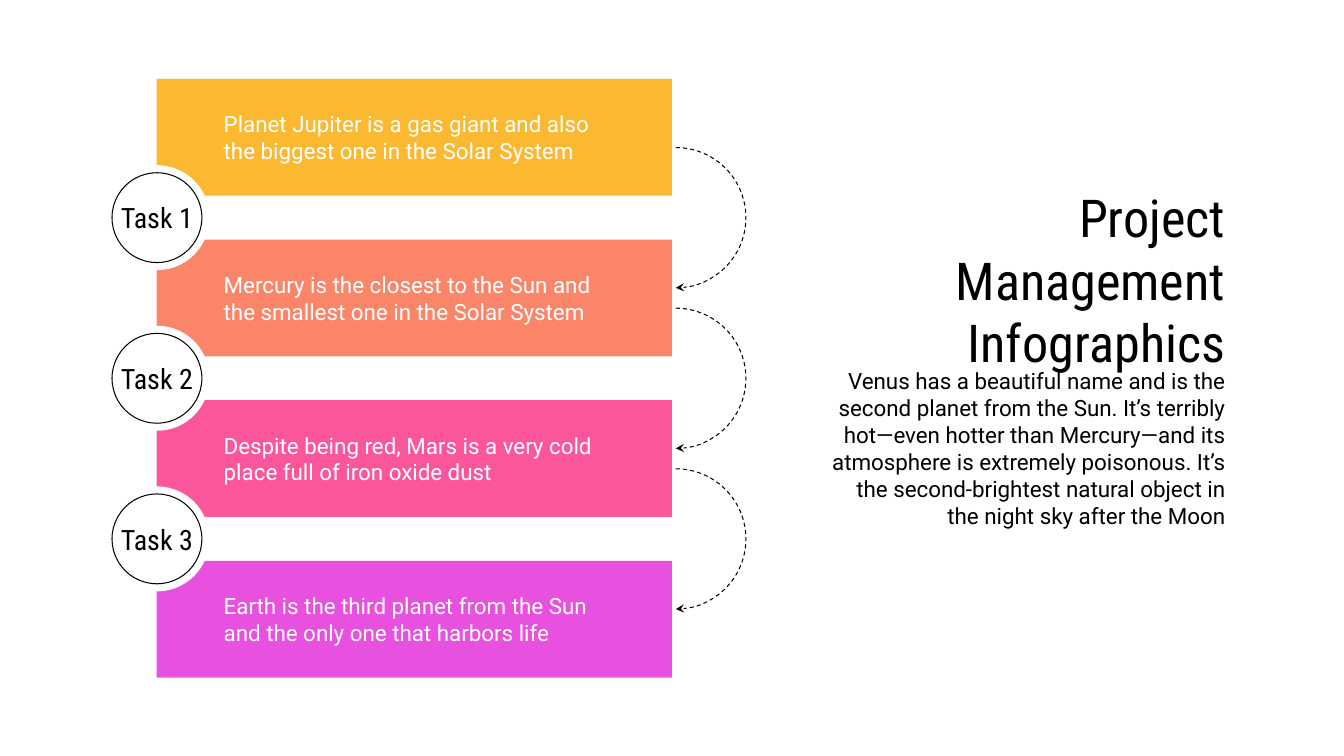
from lxml.etree import SubElement as Sub
from pptx import Presentation
from pptx.dml.color import RGBColor as Rgb
from pptx.enum.dml import MSO_LINE as Dash
from pptx.enum.shapes import MSO_SHAPE as Kind
from pptx.enum.text import MSO_ANCHOR as Anchor, MSO_AUTO_SIZE as Fit, PP_ALIGN as Align
from pptx.oxml.ns import qn
from pptx.util import Pt

HUES = {"gold": "FBB831", "coral": "FB8569", "pink": "FB569C",
        "violet": "E850E0", "white": "FFFFFF", "black": "000000"}
BODY, HEAD = "Roboto", "Roboto Condensed"
STEPS = [
    ("gold", "Planet Jupiter is a gas giant and also the biggest one in the Solar System"),
    ("coral", "Mercury is the closest to the Sun and the smallest one in the Solar System"),
    ("pink", "Despite being red, Mars is a very cold place full of iron oxide dust"),
    ("violet", "Earth is the third planet from the Sun and the only one that harbors life"),
]
TITLE = "Project Management Infographics"
INTRO = ("Venus has a beautiful name and is the second planet from the Sun. "
         "It’s terribly hot—even hotter than Mercury—and its atmosphere is extremely "
         "poisonous. It’s the second-brightest natural object in the night sky after the Moon")


def tint(hue):
    """Return the named colour."""
    return Rgb.from_string(HUES[hue])


def write(shape, text, size, face, hue, align, pad, wrap=True):
    """Fill a shape with one formatted run."""
    frame = shape.text_frame
    frame.auto_size = Fit.NONE
    frame.word_wrap = wrap
    frame.vertical_anchor = Anchor.MIDDLE
    frame.margin_left = frame.margin_right = Pt(pad)
    frame.margin_top = frame.margin_bottom = Pt(9.6)
    para = frame.paragraphs[0]
    para.alignment = align
    para.space_before = Pt(0)
    run = para.add_run()
    run.text = text
    run.font.size = Pt(size)
    run.font.name = face
    run.font.color.rgb = tint(hue)
    return para


def draw(slide, kind, box, fill=None, line=None):
    """Add a flat shape in the given box."""
    shape = slide.shapes.add_shape(kind, *map(Pt, box))
    shape.shadow.inherit = False
    if fill:
        shape.fill.solid()
        shape.fill.fore_color.rgb = tint(fill)
    else:
        shape.fill.background()
    if line:
        shape.line.color.rgb = tint(line)
        shape.line.width = Pt(0.75)
    else:
        shape.line.fill.background()
    return shape


def disc(x, y, size):
    """Return the square box centred on a point."""
    return x - size / 2, y - size / 2, size, size


def link(slide, x, y):
    """Draw the dashed half circle from one bar to the next."""
    arc = draw(slide, Kind.ARC, disc(x, y, 100.2), line="black")
    arc.adjustments[0] = 162
    arc.adjustments[1] = 53.964
    arc.line.dash_style = Dash.DASH
    Sub(arc.line._get_or_add_ln(), qn("a:tailEnd"), type="stealth")


def badge(slide, x, y, label):
    """Draw a ringed task circle with a white rim."""
    draw(slide, Kind.OVAL, disc(x, y, 75), "white")
    ring = draw(slide, Kind.OVAL, disc(x, y, 64.2), "white", "black")
    write(ring, label, 20, HEAD, "black", Align.CENTER, 0, False)


def flow(slide, x, y, wide, tall):
    """Stack the step bars in a box and join them with tasks."""
    high = 83.4
    pitch = (tall - high) / (len(STEPS) - 1)
    for i, (hue, text) in enumerate(STEPS):
        bar = draw(slide, Kind.RECTANGLE, (x, y + i * pitch, wide, high), hue)
        write(bar, text, 16, BODY, "white", Align.LEFT, 48)
    for i in range(len(STEPS) - 1):
        mid = y + i * pitch + (high + pitch) / 2
        link(slide, x + wide + 2.7, mid)
        badge(slide, x + 0.3, mid, f"Task {i + 1}")


def place(shape, x, y, wide, tall):
    """Move a placeholder into a box."""
    shape.left, shape.top, shape.width, shape.height = map(Pt, (x, y, wide, tall))


def intro(slide, x, y, wide, tall):
    """Set the title and the summary in the right column."""
    title, body = slide.shapes.title, slide.placeholders[1]
    place(title, x, y, wide, 89.3)
    write(title, TITLE, 37.3, HEAD, "black", Align.RIGHT, 9.6)
    place(body, x + 12.2, y + tall - 130.3, wide - 12.2, 130.3)
    para = write(body, INTRO, 16, BODY, "black", Align.RIGHT, 9.6)
    props = para._p.get_or_add_pPr()
    props.set("marL", "0")
    props.set("indent", "0")
    Sub(props, qn("a:buNone"))


def main():
    """Build and save the slide."""
    deck = Presentation()
    deck.slide_width, deck.slide_height = Pt(960), Pt(540)
    slide = deck.slides.add_slide(deck.slide_layouts[1])
    flow(slide, 111.8, 56.4, 368.2, 427.6)
    intro(slide, 568.8, 154.8, 316.1, 230.4)
    deck.save("out.pptx")


if __name__ == "__main__":
    main()
